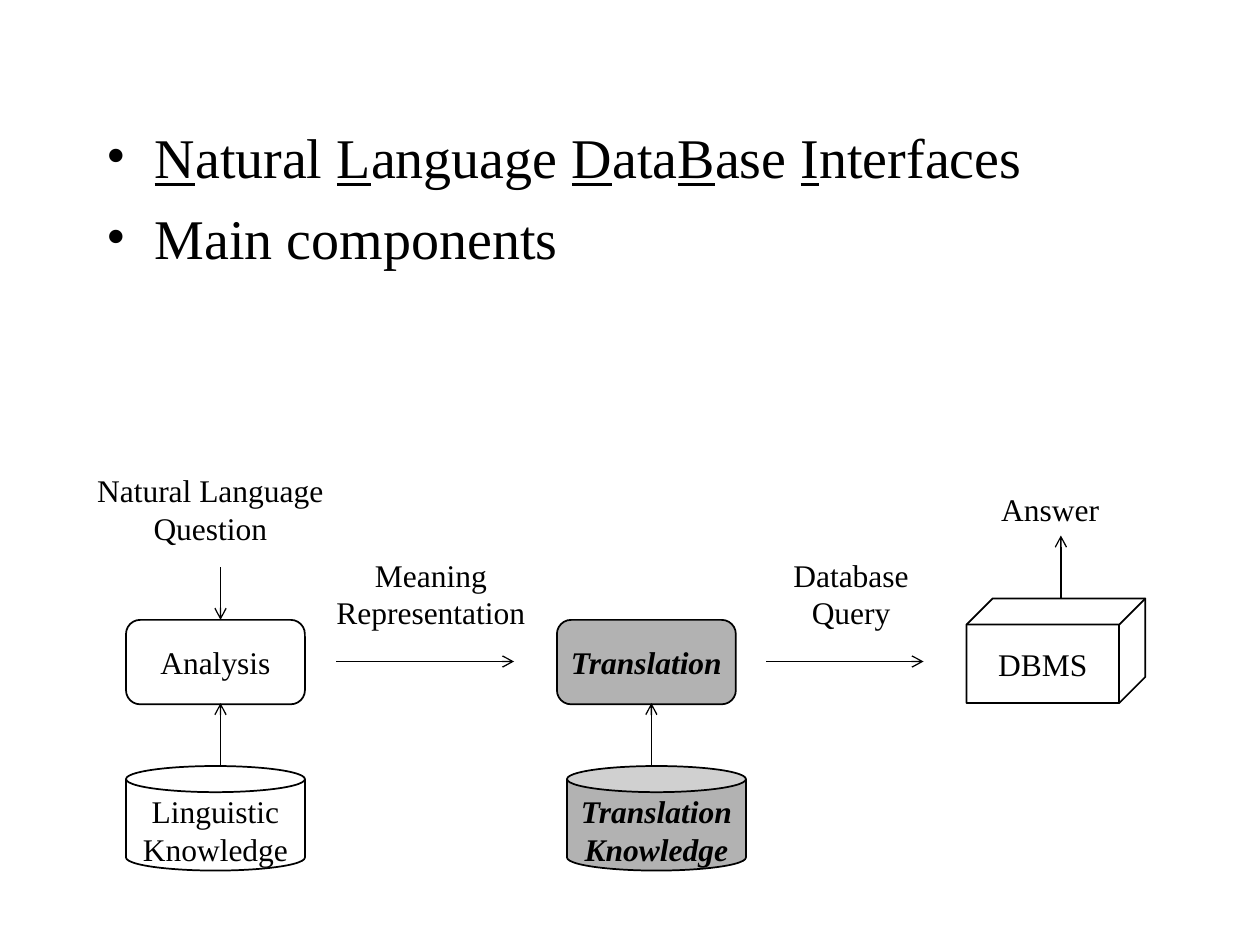
from dataclasses import dataclass

from lxml import etree
from pptx import Presentation
from pptx.dml.color import RGBColor
from pptx.enum.shapes import MSO_CONNECTOR, MSO_SHAPE
from pptx.enum.text import MSO_ANCHOR, PP_ALIGN
from pptx.oxml.ns import qn
from pptx.util import Inches, Pt


@dataclass(frozen=True)
class Theme:
    font: str = "Times New Roman"
    ink: RGBColor = RGBColor(0x00, 0x00, 0x00)
    highlight: RGBColor = RGBColor(0xB2, 0xB2, 0xB2)
    heading_size: Pt = Pt(32)
    label_size: Pt = Pt(18)
    outline: Pt = Pt(1)
    arrow: Pt = Pt(0.75)


@dataclass(frozen=True)
class Component:
    text: str
    kind: MSO_SHAPE
    left: float
    top: float
    height: float
    adjustment: float = 0.25
    inset_top: float = 0.05
    highlighted: bool = False


@dataclass(frozen=True)
class Label:
    text: str
    left: float
    top: float
    width: float = 1.33


@dataclass(frozen=True)
class Flow:
    start: tuple[float, float]
    end: tuple[float, float]


THEME = Theme()
COMPONENT_WIDTH = 1.42
LABEL_HEIGHT = 0.42
STEP_TOP, STEP_HEIGHT = 4.92, 0.67
STORE_TOP, STORE_HEIGHT = 6.08, 0.83
STEP_BOTTOM = 5.58
FLOW_Y = 5.25
ANALYSIS_X, TRANSLATION_X, ANSWER_X = 1.75, 5.17, 8.42

# Underlined initials are paired with the plain letters that follow them.
TOPIC = [("N", "atural "), ("L", "anguage "), ("D", "ata"), ("B", "ase "), ("I", "nterfaces")]

COMPONENTS = [
    Component("Analysis", MSO_SHAPE.ROUNDED_RECTANGLE, 1, STEP_TOP, STEP_HEIGHT, 0.167),
    Component("Translation", MSO_SHAPE.ROUNDED_RECTANGLE, 4.42, STEP_TOP, STEP_HEIGHT,
              0.167, highlighted=True),
    Component("Linguistic\nKnowledge", MSO_SHAPE.CAN, 1, STORE_TOP, STORE_HEIGHT,
              inset_top=0.13),
    Component("Translation\nKnowledge", MSO_SHAPE.CAN, 4.5, STORE_TOP, STORE_HEIGHT,
              inset_top=0.13, highlighted=True),
    Component("DBMS", MSO_SHAPE.CUBE, 7.67, 4.75, 0.83),
]

LABELS = [
    Label("Natural Language\nQuestion", 0.72, 3.83, 1.9),
    Label("Meaning\nRepresentation", 2.62, 4.5, 1.6),
    Label("Database\nQuery", 6.17, 4.5, 1.17),
    Label("Answer", 7.67, 3.83),
]

FLOWS = [
    Flow((2.67, FLOW_Y), (4.08, FLOW_Y)),
    Flow((6.08, FLOW_Y), (7.33, FLOW_Y)),
    Flow((ANALYSIS_X, STORE_TOP), (ANALYSIS_X, STEP_BOTTOM)),
    Flow((TRANSLATION_X, STORE_TOP), (TRANSLATION_X, STEP_BOTTOM)),
    Flow((ANSWER_X, 4.75), (ANSWER_X, 4.25)),
    Flow((ANALYSIS_X, 4.5), (ANALYSIS_X, STEP_TOP)),
]


def apply_format(target, values: dict) -> None:
    for name, value in values.items():
        setattr(target, name, value)


def style_font(font, size: Pt, **extras) -> None:
    apply_format(font, {"name": THEME.font, "size": size, **extras})
    font.color.rgb = THEME.ink


def write_centred(frame, text: str, emphasis: bool = False, inset_top: float = 0.05,
                  inset_side: float = 0.1) -> None:
    apply_format(frame, {
        "text": text, "word_wrap": False, "vertical_anchor": MSO_ANCHOR.MIDDLE,
        "margin_left": Inches(inset_side), "margin_right": Inches(inset_side),
        "margin_top": Inches(inset_top), "margin_bottom": Inches(0.05),
    })
    for paragraph in frame.paragraphs:
        paragraph.alignment = PP_ALIGN.CENTER
        for run in paragraph.runs:
            style_font(run.font, THEME.label_size, bold=emphasis, italic=emphasis)


def add_bullet(paragraph) -> None:
    properties = paragraph._p.get_or_add_pPr()
    properties.set("marL", str(Inches(0.38)))
    properties.set("indent", str(-Inches(0.38)))
    etree.SubElement(properties, qn("a:buFont"), typeface=THEME.font)
    etree.SubElement(properties, qn("a:buChar"), char="•")


def draw_outline(slide) -> None:
    """Add the two bullet points above the diagram."""
    box = slide.shapes.add_textbox(Inches(0.75), Inches(0.92), Inches(8.5), Inches(6.25))
    frame = box.text_frame
    frame.word_wrap = True
    topic, components = frame.paragraphs[0], frame.add_paragraph()
    for paragraph in (topic, components):
        add_bullet(paragraph)
    components.space_before = Pt(8)
    for initial, rest in TOPIC:
        for text, underline in ((initial, True), (rest, False)):
            run = topic.add_run()
            run.text = text
            style_font(run.font, THEME.heading_size, underline=underline)
    run = components.add_run()
    run.text = "Main components"
    style_font(run.font, THEME.heading_size)


def draw_component(slide, component: Component) -> None:
    shape = slide.shapes.add_shape(
        component.kind, Inches(component.left), Inches(component.top),
        Inches(COMPONENT_WIDTH), Inches(component.height))
    shape.shadow.inherit = False
    shape.adjustments[0] = component.adjustment
    if component.highlighted:
        shape.fill.solid()
        shape.fill.fore_color.rgb = THEME.highlight
    else:
        shape.fill.background()
    shape.line.color.rgb = THEME.ink
    shape.line.width = THEME.outline
    write_centred(shape.text_frame, component.text, component.highlighted, component.inset_top)


def draw_label(slide, label: Label) -> None:
    box = slide.shapes.add_textbox(
        Inches(label.left), Inches(label.top), Inches(label.width), Inches(LABEL_HEIGHT))
    write_centred(box.text_frame, label.text, inset_side=0)


def draw_flow(slide, flow: Flow) -> None:
    arrow = slide.shapes.add_connector(
        MSO_CONNECTOR.STRAIGHT, *map(Inches, flow.start + flow.end))
    arrow.line.color.rgb = THEME.ink
    arrow.line.width = THEME.arrow
    etree.SubElement(arrow.line._get_or_add_ln(), qn("a:tailEnd"), type="arrow")
    etree.SubElement(arrow._element.spPr, qn("a:effectLst"))


def main() -> None:
    presentation = Presentation()
    presentation.slide_width, presentation.slide_height = Inches(10), Inches(7.5)
    slide = presentation.slides.add_slide(presentation.slide_layouts[6])
    draw_outline(slide)
    for component in COMPONENTS:
        draw_component(slide, component)
    for flow in FLOWS:
        draw_flow(slide, flow)
    for label in LABELS:
        draw_label(slide, label)
    presentation.save("out.pptx")


if __name__ == "__main__":
    main()
